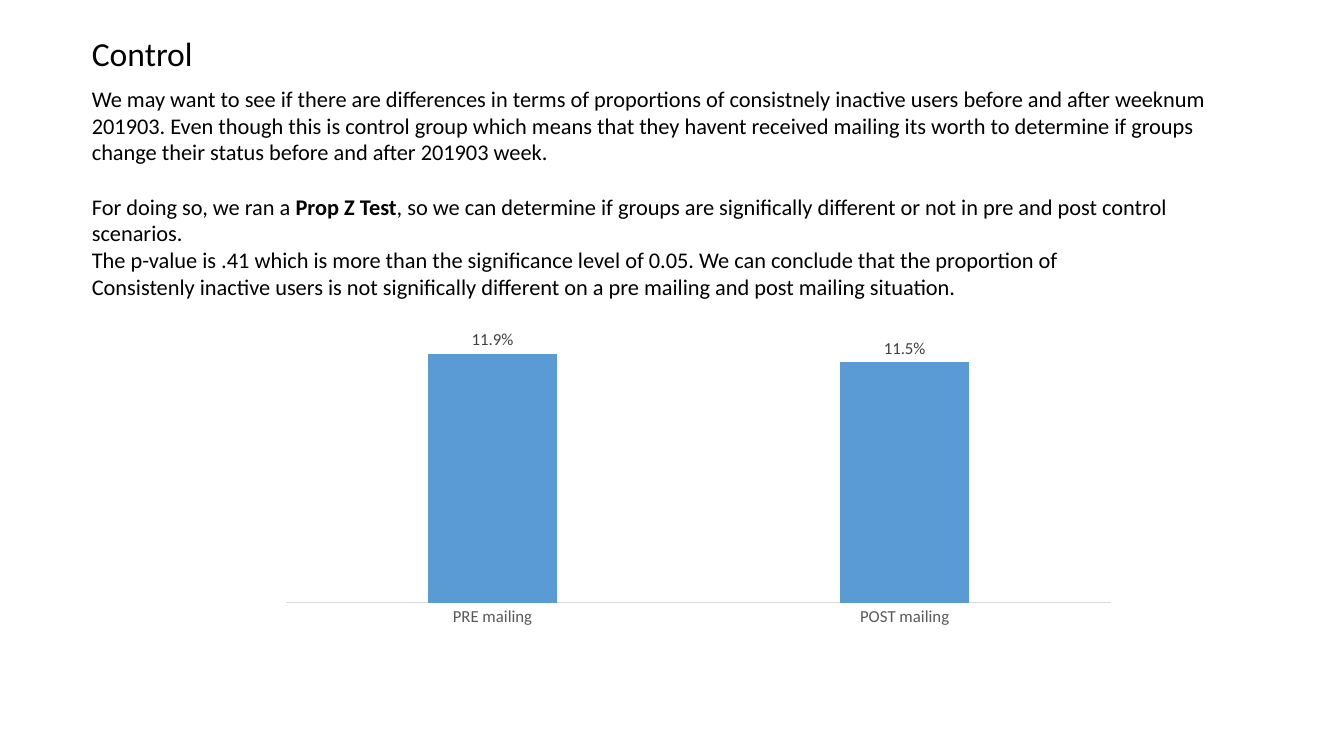
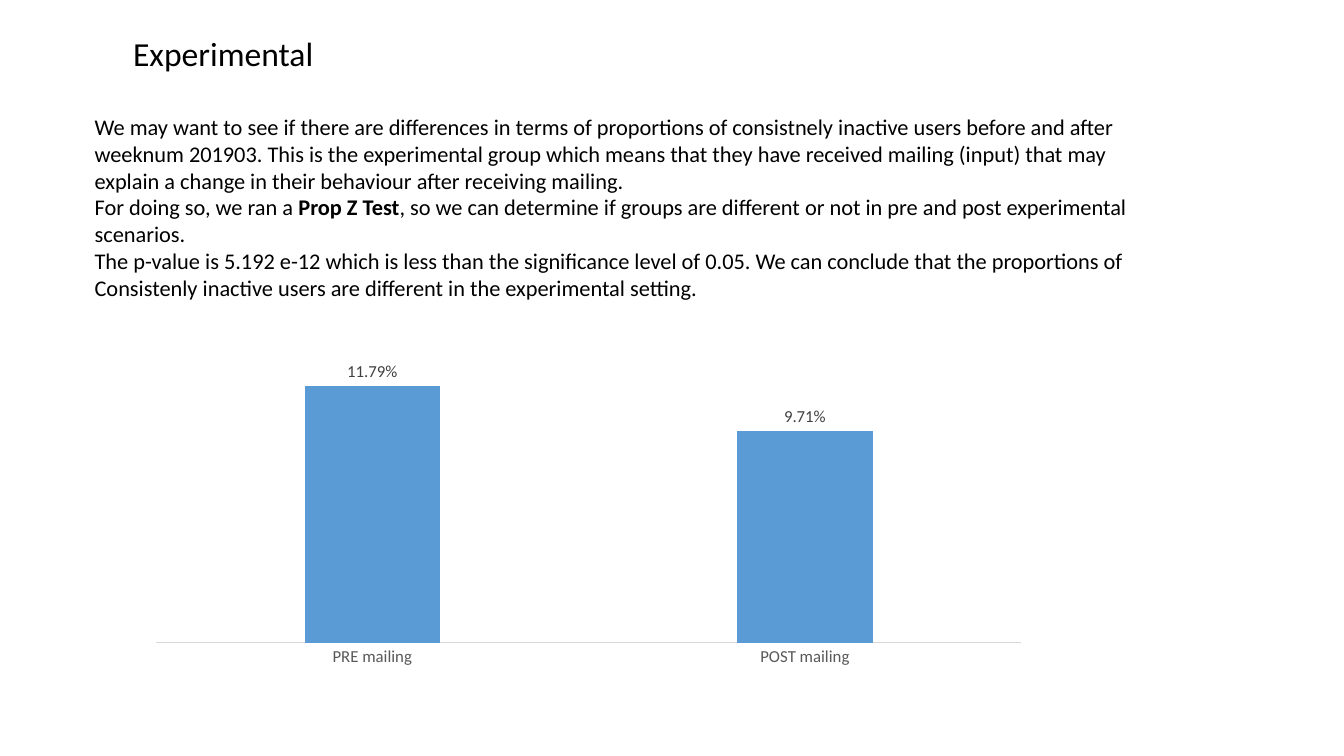
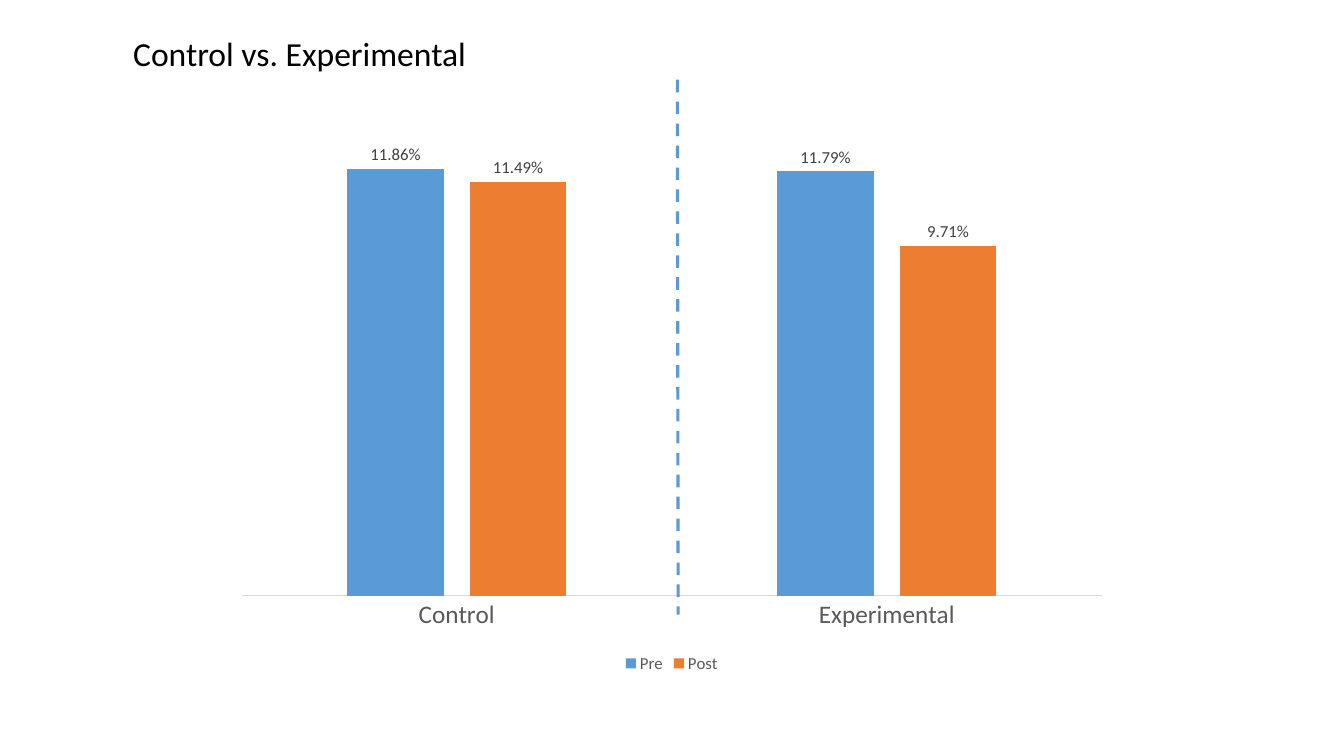
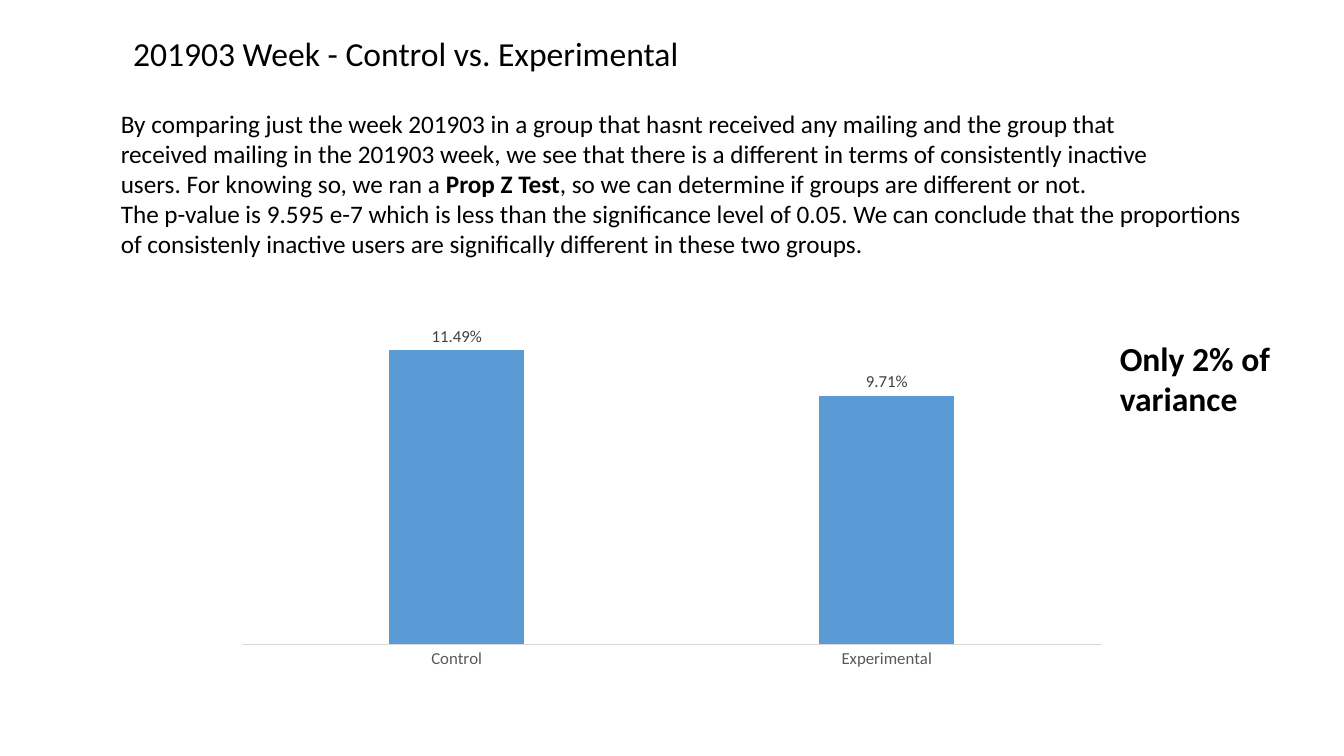
from dataclasses import dataclass

from pptx import Presentation
from pptx import util as u
from pptx.chart.data import CategoryChartData
from pptx.dml.color import RGBColor
from pptx.enum import chart as ch, dml, shapes, text
from pptx.oxml import parse_xml
from pptx.oxml.ns import nsdecls
from pptx.oxml.xmlchemy import OxmlElement


@dataclass(frozen=True)
class Theme:
    font: str = "Calibri"
    ink: str = "000000"
    mute: str = "595959"
    label: str = "404040"
    rule: str = "D9D9D9"
    bars: tuple = ("5B9BD5", "ED7D31")
    head: float = 24
    large: float = 18
    body: float = 16
    small: float = 12
    base: float = 10


T = Theme()

# Content: boxes are left, top, width, height in cm; ** marks bold text
MAIL = ["PRE mailing", "POST mailing"]
GROUPS = ["Control", "Experimental"]
WIDE = (5.64, 22.58)  # left and width shared by most charts
SLIDES = [
    dict(
        title="Control", left=2.06, width=3.07,
        body=dict(box=(2.06, 2.01, 29.9, 5.74), size=T.body, gap=19.5, lines=[
            "We may want to see if there are differences in terms of proportions of consistnely inactive users before and after weeknum 201903. Even though this is control group which means that they havent received mailing its worth to determine if groups change their status before and after 201903 week.",
            "For doing so, we ran a **Prop Z Test**, so we can determine if groups are significally different or not in pre and post control scenarios.",
            "The p-value is .41 which is more than the significance level of 0.05. We can conclude that the proportion of",
            "Consistenly inactive users is not significally different on a pre mailing and post mailing situation.",
        ]),
        chart=dict(box=(WIDE[0], 7.65, WIDE[1], 8.38), cats=MAIL, fmt="0.0%",
                   data={"Series 1": [0.119, 0.115]},
                   plot=dict(x=0.07, y=0.02, w=0.92, h=0.88)),
    ),
    dict(
        title="Experimental", left=3.1, width=5.11,
        body=dict(box=(2.13, 2.72, 26.62, 5.05), size=T.body, lines=[
            "We may want to see if there are differences in terms of proportions of consistnely inactive users before and after weeknum 201903. This is the experimental group which means that they have received mailing (input) that may explain a change in their behaviour after receiving mailing.",
            "For doing so, we ran a **Prop Z Test**, so we can determine if groups are different or not in pre and post experimental scenarios.",
            "The p-value is 5.192 e-12 which is less than the significance level of 0.05. We can conclude that the proportions of",
            "Consistenly inactive users are different in the experimental setting.",
        ]),
        chart=dict(box=(3.48, 8.33, 22.71, 8.64), cats=MAIL,
                   data={"Series 1": [0.1179, 0.0971]}),
    ),
    dict(
        title="Control vs. Experimental", left=3.1, width=8.97,
        chart=dict(box=(WIDE[0], 2.01, WIDE[1], 15.06), cats=GROUPS,
                   size=T.large,
                   data={"Pre": [0.1186, 0.1179], "Post": [0.1149, 0.0971]}),
        split=(17.07, 2.01, 17.09, 15.49),
    ),
    dict(
        title="201903 Week - Control vs. Experimental", left=3.1, width=14.38,
        body=dict(box=(2.79, 2.59, 29.11, 4.88), size=T.large, lines=[
            "By comparing just the week 201903 in a group that hasnt received any mailing and the group that",
            "received mailing in the 201903 week, we see that there is a different in terms of consistently inactive",
            "users. For knowing so, we ran a **Prop Z Test**, so we can determine if groups are different or not.",
            "The p-value is 9.595 e-7 which is less than the significance level of 0.05. We can conclude that the proportions of consistenly inactive users are significally different in these two groups.",
        ]),
        chart=dict(box=(WIDE[0], 7.01, WIDE[1], 10.03), cats=GROUPS,
                   data={"Series 1": [0.1149, 0.0971]}),
        note=dict(box=(27.97, 8.38, 4.72, 2.31), size=T.head,
                  lines=["**Only 2% of variance**"]),
    ),
]


def cms(vals):
    return [u.Cm(v) for v in vals]


def put(obj, **vals):
    for key, val in vals.items():
        setattr(obj, key, val)


def ink(font, size, color=T.ink, **more):
    put(font, name=T.font, size=u.Pt(size), **more)
    font.color.rgb = RGBColor.from_string(color)


def write(shape, box, lines, size, gap=0, wrap=True):
    """Place a text shape and fill it with plain paragraphs."""
    put(shape, **dict(zip(("left", "top", "width", "height"), cms(box))))
    frame = shape.text_frame
    put(frame, word_wrap=wrap, vertical_anchor=text.MSO_ANCHOR.TOP,
        auto_size=text.MSO_AUTO_SIZE.SHAPE_TO_FIT_TEXT)
    for i, line in enumerate(lines):
        para = frame.add_paragraph() if i else frame.paragraphs[0]
        put(para, alignment=text.PP_ALIGN.LEFT, line_spacing=1.0,
            space_before=u.Pt(0), space_after=u.Pt(0 if i else gap))
        props = para._p.get_or_add_pPr()
        for key in ("marL", "indent"):
            props.set(key, "0")
        props.append(OxmlElement("a:buNone"))
        for k, part in enumerate(line.split("**")):
            if part:
                run = para.add_run()
                run.text = part
                ink(run.font, size, bold=k % 2 == 1)


def draw(slide, box, cats, data, fmt="0.00%", size=T.small, plot=None):
    """Add a column chart with labels and no value axis."""
    source = CategoryChartData(number_format=fmt)
    source.categories = cats
    for name, vals in data.items():
        source.add_series(name, vals)
    chart = slide.shapes.add_chart(
        ch.XL_CHART_TYPE.COLUMN_CLUSTERED, *cms(box), source).chart
    ink(chart.font, T.base)
    put(chart, has_title=False, has_legend=len(data) > 1)
    if chart.has_legend:
        put(chart.legend, position=ch.XL_LEGEND_POSITION.BOTTOM,
            include_in_layout=False)
        ink(chart.legend.font, T.small, T.mute)

    # Axes
    put(chart.value_axis, visible=False, minimum_scale=0,
        has_major_gridlines=False)
    axis = chart.category_axis
    put(axis, major_tick_mark=ch.XL_TICK_MARK.NONE,
        minor_tick_mark=ch.XL_TICK_MARK.NONE)
    ink(axis.tick_labels.font, size, T.mute)
    axis.format.line.width = u.Pt(0.75)
    axis.format.line.color.rgb = RGBColor.from_string(T.rule)

    # Bars and labels
    bars = chart.plots[0]
    put(bars, gap_width=219, overlap=-27, vary_by_categories=False)
    for series, color in zip(bars.series, T.bars):
        series.format.fill.solid()
        series.format.fill.fore_color.rgb = RGBColor.from_string(color)
        labels = series.data_labels
        put(labels, show_value=True, number_format=fmt,
            number_format_is_linked=False,
            position=ch.XL_LABEL_POSITION.OUTSIDE_END)
        ink(labels.font, T.small, T.label)

    # Fixed plot area
    if plot:
        area = chart._chartSpace.chart.plotArea
        for old in area.findall("{*}layout"):
            area.remove(old)
        marks = dict(layoutTarget="inner", xMode="edge", yMode="edge", **plot)
        inner = "".join(f'<c:{k} val="{v}"/>' for k, v in marks.items())
        area.insert(0, parse_xml(
            f'<c:layout {nsdecls("c")}><c:manualLayout>{inner}'
            '</c:manualLayout></c:layout>'))


def divide(slide, ends):
    """Add the dashed line between the groups."""
    line = slide.shapes.add_connector(shapes.MSO_CONNECTOR.STRAIGHT, *cms(ends))
    put(line.line, width=u.Pt(2.25), dash_style=dml.MSO_LINE.DASH)
    line.line.color.rgb = RGBColor.from_string(T.bars[0])
    line._element.spPr.append(OxmlElement("a:effectLst"))


def main():
    deck = Presentation()
    put(deck, slide_width=u.Cm(33.87), slide_height=u.Cm(19.05))
    for item in SLIDES:
        layout = deck.slide_layouts[1 if "body" in item else 5]
        slide = deck.slides.add_slide(layout)
        draw(slide, **item["chart"])
        write(slide.shapes.title, (item["left"], 0.71, item["width"], 1.27),
              [item["title"]], T.head, wrap=False)
        if "body" in item:
            write(slide.placeholders[1], **item["body"])
        if "note" in item:
            box = cms(item["note"]["box"])
            write(slide.shapes.add_textbox(*box), **item["note"])
        if "split" in item:
            divide(slide, item["split"])
    deck.save("out.pptx")


if __name__ == "__main__":
    main()
